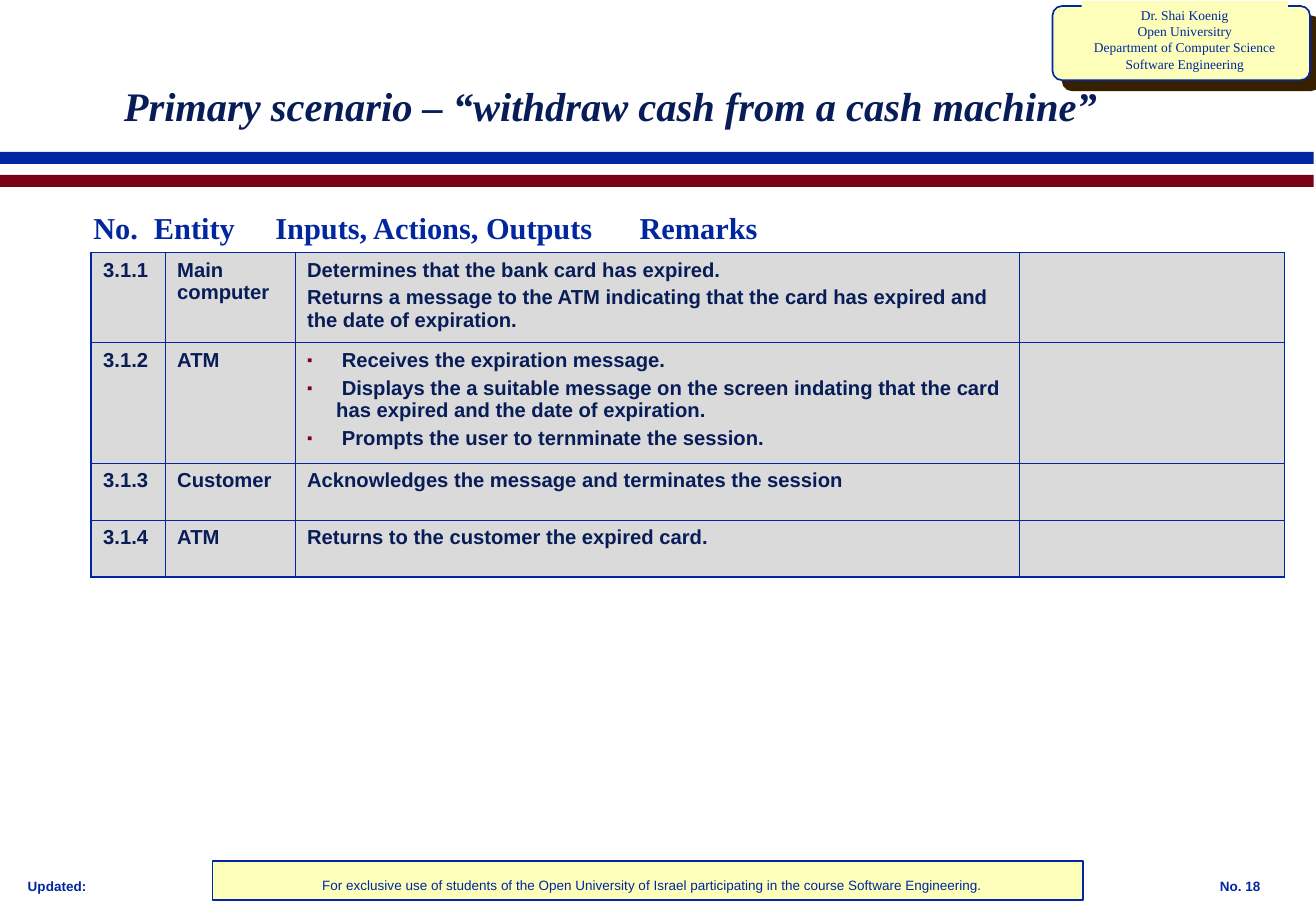
import pptx
import pptx.util
import pptx.dml.color
import pptx.enum.shapes
import pptx.enum.text
import pptx.oxml
import pptx.oxml.ns
import lxml.etree

Inches = pptx.util.Inches
Pt = pptx.util.Pt
SHAPE = pptx.enum.shapes.MSO_SHAPE
ALIGN = pptx.enum.text.PP_ALIGN
ANCHOR = pptx.enum.text.MSO_ANCHOR
qn = pptx.oxml.ns.qn

COLORS = {"blue": "00279F", "navy": "081D58", "maroon": "790015",
          "cream": "FCFEB9", "gray": "DADADA", "brown": "372000"}
RGB = {name: pptx.dml.color.RGBColor.from_string(value) for name, value in COLORS.items()}
NS = 'xmlns:a="http://schemas.openxmlformats.org/drawingml/2006/main"'


def write(frame, text, size, face, color="blue", bold=False, italic=False,
          align=ALIGN.LEFT, gap=0):
    """Fill a text frame, one paragraph per line, with gap points between paragraphs."""
    frame.text = text
    for index, paragraph in enumerate(frame.paragraphs):
        paragraph.alignment = align
        paragraph.space_before = Pt(gap if index else 0)
        font = paragraph.font
        font.size, font.name = Pt(size), face
        font.bold, font.italic = bold, italic
        font.color.rgb = RGB[color]


def add_block(kind, box, fill, line=None):
    block = slide.shapes.add_shape(kind, *map(Inches, box))
    block.shadow.inherit = False
    block.fill.solid()
    block.fill.fore_color.rgb = RGB[fill]
    if line:
        block.line.color.rgb = RGB[line]
        block.line.width = Pt(1)
    else:
        block.line.fill.background()
    return block


deck = pptx.Presentation()
deck.slide_width, deck.slide_height = Inches(10.84), Inches(7.5)
slide = deck.slides.add_slide(deck.slide_layouts[5])

# Title and bands
title = slide.shapes.title
title.left, title.top, title.width, title.height = map(Inches, (0.92, 0.58, 8.94, 0.57))
write(title.text_frame, "Primary scenario – “withdraw cash from a cash machine”",
      24, "Times New Roman", "navy", bold=True, italic=True)
title.text_frame.vertical_anchor = ANCHOR.MIDDLE
for top, color in ((1.25, "blue"), (1.44, "maroon")):
    add_block(SHAPE.RECTANGLE, (0, top, 10.82, 0.1), color)

# Author card
card = add_block(SHAPE.ROUNDED_RECTANGLE, (8.67, 0.05, 2.12, 0.61), "cream", "blue")
card.adjustments[0] = 0.125
card_shadow = pptx.oxml.parse_xml(
    f'<a:outerShdw {NS} dist="{Pt(8.5)}" dir="2700000" algn="ctr" rotWithShape="0">'
    f'<a:srgbClr val="{COLORS["brown"]}"/></a:outerShdw>')
card.element.spPr.find(qn("a:effectLst")).append(card_shadow)
author = add_block(SHAPE.RECTANGLE, (8.91, 0.01, 1.7, 0.63), "cream")
author.text_frame.word_wrap = False
author.text_frame.vertical_anchor = ANCHOR.TOP
write(author.text_frame,
      "Dr. Shai Koenig\nOpen Universitry\nDepartment of Computer Science\nSoftware Engineering",
      8, "Times New Roman", align=ALIGN.CENTER)

# Footer
add_block(SHAPE.RECTANGLE, (1.75, 7.09, 7.17, 0.32), "cream", "blue")
usage = ("For exclusive use of students of the Open University of Israel "
         "participating in the course Software Engineering.")
for box, text, bold, align in (
        ((0.13, 7.18, 1.15, 0.23), "Updated:", True, ALIGN.LEFT),
        ((9.95, 7.18, 0.85, 0.23), "No. 18", True, ALIGN.LEFT),
        ((1.75, 7.17, 7.25, 0.24), usage, False, ALIGN.CENTER)):
    footer = slide.shapes.add_textbox(*map(Inches, box)).text_frame
    footer.word_wrap = True
    write(footer, text, 8, "Arial", bold=bold, align=align)

# Column headings, set on tab stops
headings = slide.shapes.add_textbox(*map(Inches, (0.67, 1.67, 9.92, 0.4))).text_frame
headings.word_wrap = True
tabs = lxml.etree.SubElement(headings.paragraphs[0]._p.get_or_add_pPr(), qn("a:tabLst"))
for stop in (0.67, 1.85, 7.71):
    lxml.etree.SubElement(tabs, qn("a:tab"), pos=str(Inches(stop)), algn="l")
write(headings, "No.\tEntity\tInputs, Actions, Outputs\tRemarks",
      18, "Times New Roman", bold=True)

# Scenario steps
steps = [
    ("3.1.1", "Main computer",
     "Determines that the bank card has expired.\n"
     "Returns a message to the ATM indicating that the card has expired "
     "and the date of expiration.", ""),
    ("3.1.2", "ATM",
     " Receives the expiration message.\n"
     " Displays the a suitable message on the screen indating that the card "
     "has expired and the date of expiration.\n"
     " Prompts the user to ternminate the session.", ""),
    ("3.1.3", "Customer", "Acknowledges the message and terminates the session", ""),
    ("3.1.4", "ATM", "Returns to the customer the expired card.", ""),
]
widths = (0.61, 1.07, 5.97, 2.18)
heights = (0.74, 0.99, 0.47, 0.47)
table = slide.shapes.add_table(len(steps), len(widths), Inches(0.75), Inches(2.08),
                               Inches(sum(widths)), Inches(sum(heights))).table
table.first_row = table.horz_banding = False
for column, width in zip(table.columns, widths):
    column.width = Inches(width)
for row, height in zip(table.rows, heights):
    row.height = Inches(height)

last_row, last_column = len(steps) - 1, len(widths) - 1
for r, step in enumerate(steps):
    for c, text in enumerate(step):
        cell = table.cell(r, c)
        outer_edges = {"L": c == 0, "R": c == last_column, "T": r == 0, "B": r == last_row}
        for side, outer in outer_edges.items():
            cell._tc.get_or_add_tcPr().append(pptx.oxml.parse_xml(
                f'<a:ln{side} {NS} w="{Pt(1.08 if outer else 0.45)}"><a:solidFill>'
                f'<a:srgbClr val="{COLORS["blue"]}"/></a:solidFill></a:ln{side}>'))
        cell.fill.solid()
        cell.fill.fore_color.rgb = RGB["gray"]
        write(cell.text_frame, text, 12, "Arial", "navy", bold=True, gap=3)

# Bullets go before the paragraph's default font
for paragraph in table.cell(1, 2).text_frame.paragraphs:
    properties = paragraph._p.get_or_add_pPr()
    properties.set("marL", str(Inches(0.24)))
    properties.set("indent", str(Inches(-0.24)))
    default_font = properties.find(qn("a:defRPr"))
    for bullet in (f'<a:buClr {NS}><a:srgbClr val="{COLORS["maroon"]}"/></a:buClr>',
                   f'<a:buSzPct {NS} val="75000"/>',
                   f'<a:buFont {NS} typeface="Arial"/>',
                   f'<a:buChar {NS} char="▪"/>'):
        default_font.addprevious(pptx.oxml.parse_xml(bullet))

deck.save("out.pptx")
